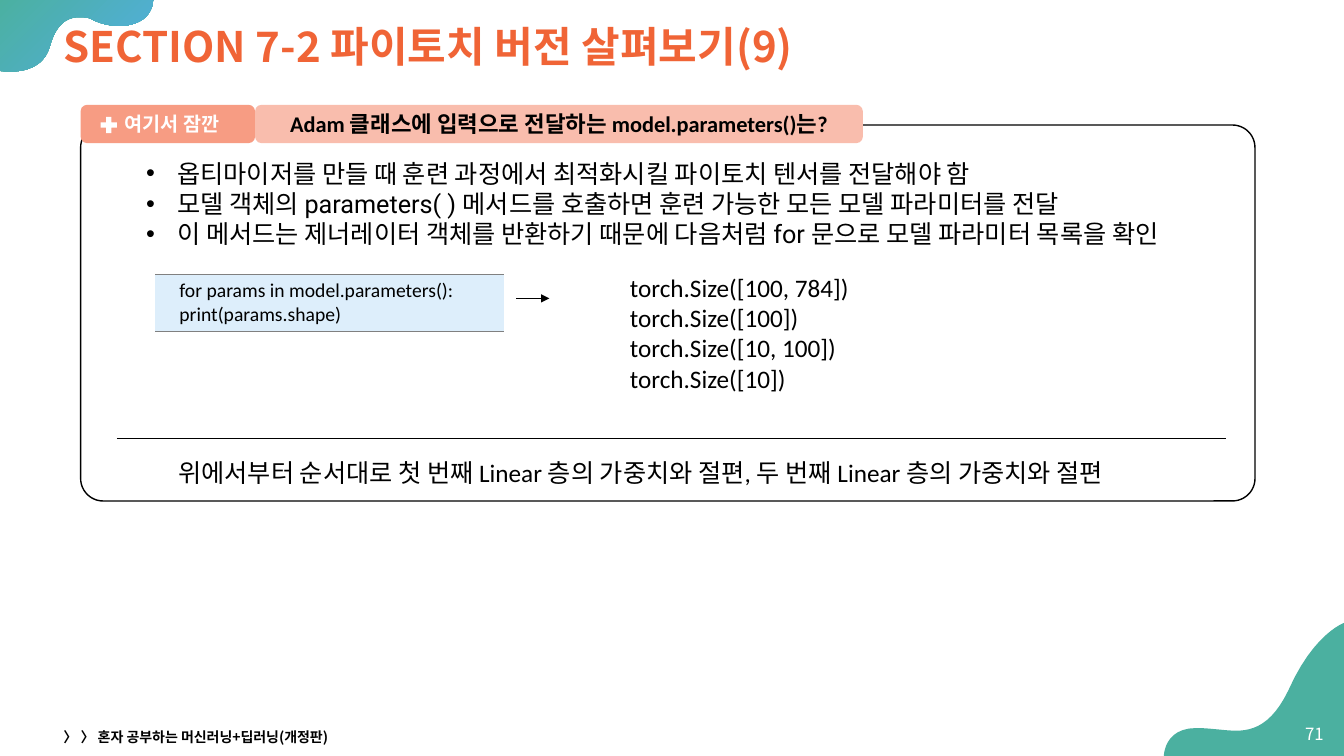
from lxml import etree
from pptx import Presentation
from pptx.dml.color import RGBColor
from pptx.enum.dml import MSO_LINE
from pptx.enum.shapes import MSO_CONNECTOR, MSO_SHAPE
from pptx.enum.text import MSO_ANCHOR, PP_ALIGN
from pptx.oxml.ns import qn
from pptx.util import Inches, Pt

SOLID = MSO_LINE.SOLID
STRAIGHT = MSO_CONNECTOR.STRAIGHT
ROUNDED, PLUS = MSO_SHAPE.ROUNDED_RECTANGLE, MSO_SHAPE.CROSS
TOP, MIDDLE = MSO_ANCHOR.TOP, MSO_ANCHOR.MIDDLE
LEFT, CENTER, RIGHT = PP_ALIGN.LEFT, PP_ALIGN.CENTER, PP_ALIGN.RIGHT

BLACK = RGBColor(0x00, 0x00, 0x00)
WHITE = RGBColor(0xFF, 0xFF, 0xFF)
TEAL = RGBColor(0x4B, 0xB0, 0xA0)
SKY = RGBColor(0x52, 0xAE, 0xE1)
ORANGE = RGBColor(0xF0, 0x64, 0x36)
CORAL = RGBColor(0xF7, 0x9C, 0x83)
PEACH = RGBColor(0xF9, 0xBD, 0xAD)
CODE_BLUE = RGBColor(0xDD, 0xEE, 0xFB)
GRAY = RGBColor(0x80, 0x80, 0x80)

NOTO, CALIBRI, ROBOTO = "Noto Sans CJK KR", "Calibri", "Roboto"

# The grid has 100 columns and 100 rows; boxes are (left, top, width, height)
WIDTH, HEIGHT = Inches(13.33), Inches(7.5)
COL, ROW = WIDTH / 100, HEIGHT / 100

# Corner outlines in shares of their box: one point is a line, three a curve
TOP_LEFT_STEPS = [
    [(0, 0)], [(0, 0.99)],
    [(0, 0.99), (0.03, 1), (0.08, 1)],
    [(0.16, 1), (0.29, 0.95), (0.33, 0.66)],
    [(0.37, 0.34), (0.45, 0.26), (0.52, 0.26)],
    [(0.56, 0.26), (0.59, 0.27), (0.61, 0.3)],
    [(0.67, 0.36), (0.73, 0.38), (0.78, 0.38)],
    [(0.9, 0.38), (1, 0.26), (1, 0)],
]
BOTTOM_RIGHT_STEPS = [
    [(1, 0), (0.83, 0.08), (0.69, 0.51)],
    [(0.6, 0.76), (0.5, 0.81), (0.4, 0.81)],
    [(0.34, 0.81), (0.26, 0.79), (0.18, 0.79)],
    [(0, 0.79), (0, 1), (0, 1)],
    [(1, 1)],
]


def emu(box):
    left, top, width, height = box
    return round(left * COL), round(top * ROW), round(width * COL), round(height * ROW)


def inside(box, left, top, width, height):
    return box[0] + left, box[1] + top, width, height


def write(frame, lines, size, font, color=BLACK, bold=False, align=LEFT,
          anchor=TOP, bullet=False):
    frame.word_wrap = True
    frame.vertical_anchor = anchor
    for index, line in enumerate(lines):
        paragraph = frame.paragraphs[0] if index == 0 else frame.add_paragraph()
        paragraph.alignment = align
        if bullet:
            properties = paragraph._p.get_or_add_pPr()
            properties.set("marL", str(Inches(0.31)))
            properties.set("indent", str(-Inches(0.31)))
            etree.SubElement(properties, qn("a:buFont")).set("typeface", "Arial")
            etree.SubElement(properties, qn("a:buChar")).set("char", "•")
        run = paragraph.add_run()
        run.text = line
        run.font.size, run.font.bold, run.font.name = Pt(size), bold, font
        run.font.color.rgb = color
        east_asian = etree.SubElement(run._r.get_or_add_rPr(), qn("a:ea"))
        east_asian.set("typeface", NOTO)


def add_text(slide, box, lines, *style, **options):
    frame = slide.shapes.add_textbox(*emu(box)).text_frame
    write(frame, lines, *style, **options)


def add_panel(slide, kind, box, fill=None, corner=None):
    panel = slide.shapes.add_shape(kind, *emu(box))
    panel.shadow.inherit = False
    if corner is not None:
        panel.adjustments[0] = corner
    if fill is None:
        panel.fill.background()
        panel.line.color.rgb = BLACK
        panel.line.width = Pt(1)
    else:
        panel.fill.solid()
        panel.fill.fore_color.rgb = fill
        panel.line.fill.background()
    return panel


def add_rule(slide, left, right, row):
    y = round(row * ROW)
    rule = slide.shapes.add_connector(STRAIGHT, round(left * COL), y, round(right * COL), y)
    rule.line.color.rgb = BLACK
    rule.line.width = Pt(0.5)
    rule.line.dash_style = SOLID
    etree.SubElement(rule._element.spPr, qn("a:effectLst"))
    return rule


def bezier(points, t):
    weights = (1 - t) ** 3, 3 * t * (1 - t) ** 2, 3 * t ** 2 * (1 - t), t ** 3
    return tuple(sum(w * p[axis] for w, p in zip(weights, points)) for axis in (0, 1))


def add_corner(slide, box, steps, pieces=12):
    left, top, width, height = emu(box)
    outline = [(1, 0)]
    for step in steps:
        if len(step) == 1:
            outline += step
        else:
            curve = [outline[-1], *step]
            outline += [bezier(curve, i / pieces) for i in range(1, pieces + 1)]
    vertices = [(round(left + u * width), round(top + v * height)) for u, v in outline]
    builder = slide.shapes.build_freeform(*vertices[0])
    builder.add_line_segments(vertices[1:])
    corner = builder.convert_to_shape()
    corner.shadow.inherit = False
    corner.line.fill.background()
    return corner


def add_background(slide):
    wave = add_corner(slide, (-0.08, -0.27, 11.48, 9.73), TOP_LEFT_STEPS)
    wave.fill.gradient()
    wave.fill.gradient_angle = 315
    for stop, color, position in zip(wave.fill.gradient_stops, (TEAL, SKY), (0, 1)):
        stop.color.rgb = color
        stop.position = position
    hill = add_corner(slide, (86.6, 82.4, 13.4, 17.6), BOTTOM_RIGHT_STEPS)
    hill.fill.solid()
    hill.fill.fore_color.rgb = TEAL


def add_title(slide, box):
    title = slide.shapes.title
    title.left, title.top, title.width, title.height = emu(box)
    write(title.text_frame, ["SECTION 7-2 파이토치 버전 살펴보기(9)"], 30, NOTO, ORANGE,
          bold=True, anchor=MIDDLE)
    title.text_frame.paragraphs[0].line_spacing = 0.9


def add_footer(slide, box):
    add_text(slide, inside(box, 0, 1.47, 33.75, 3.2),
             ["〉 〉 혼자 공부하는 머신러닝+딥러닝(개정판)"], 10, NOTO, bold=True, anchor=MIDDLE)
    add_text(slide, inside(box, box[2] - 3.3, 0, 3.3, box[3]), ["71"], 12, NOTO, WHITE,
             align=RIGHT, anchor=MIDDLE)


def add_code(slide, box):
    table = slide.shapes.add_table(1, 1, *emu(box)).table
    table.first_row = table.horz_banding = False
    cell = table.cell(0, 0)
    cell.margin_left = Inches(0.24)
    write(cell.text_frame, ["for params in model.parameters():", "print(params.shape)"],
          14, CALIBRI)
    properties = cell._tc.get_or_add_tcPr()
    for side in ("L", "R", "T", "B"):
        border = etree.SubElement(properties, qn(f"a:ln{side}"))
        if side in "LR":
            etree.SubElement(border, qn("a:noFill"))
        else:
            border.set("w", str(Pt(1)))
            paint = etree.SubElement(border, qn("a:solidFill"))
            etree.SubElement(paint, qn("a:srgbClr")).set("val", str(GRAY))
    cell.fill.solid()
    cell.fill.fore_color.rgb = CODE_BLUE


def add_callout(slide, box):
    left, top, width, height = box
    add_code(slide, inside(box, 5.55, 22.4, 25.95, 7.6))
    add_panel(slide, ROUNDED, inside(box, 0, 2.67, width, height - 2.67), corner=0.06)

    # Heading tabs
    badge = add_panel(slide, ROUNDED, inside(box, 0, 0, 12.98, 5.07), CORAL)
    badge.text_frame.margin_left = Inches(0.42)
    badge.text_frame.margin_right = 0
    write(badge.text_frame, ["여기서 잠깐"], 14, CALIBRI, WHITE, bold=True, anchor=MIDDLE)
    heading = add_panel(slide, ROUNDED, inside(box, 12.98, 0, 45.22, 5.07), PEACH)
    write(heading.text_frame, ["Adam 클래스에 입력으로 전달하는 model.parameters()는?"],
          16, CALIBRI, bold=True, align=CENTER, anchor=MIDDLE)
    add_panel(slide, PLUS, inside(box, 1.5, 1.6, 1.2, 2.13), WHITE, corner=0.34)

    # Explanation
    add_text(slide, inside(box, 4.13, 6.4, 83.85, 13.47), [
        "옵티마이저를 만들 때 훈련 과정에서 최적화시킬 파이토치 텐서를 전달해야 함",
        "모델 객체의 parameters( ) 메서드를 호출하면 훈련 가능한 모든 모델 파라미터를 전달",
        "이 메서드는 제너레이터 객체를 반환하기 때문에 다음처럼 for 문으로 모델 파라미터 목록을 확인",
    ], 18, ROBOTO, bullet=True)

    # Code result and summary
    arrow = add_rule(slide, left + 32.4, left + 34.88, top + 25.6)
    etree.SubElement(arrow.line._get_or_add_ln(), qn("a:tailEnd")).set("type", "triangle")
    shapes = ("100, 784", "100", "10, 100", "10")
    add_text(slide, inside(box, 40.13, 21.47, 23.48, 17.47),
             [f"torch.Size([{shape}])" for shape in shapes], 18, CALIBRI)
    add_text(slide, inside(box, 6.53, 46, 77.63, 5.33),
             ["위에서부터 순서대로 첫 번째 Linear 층의 가중치와 절편, 두 번째 Linear 층의 가중치와 절편"],
             18, CALIBRI)
    add_rule(slide, left + 2.7, left + 85.2, top + 44.13)


def main():
    deck = Presentation()
    deck.slide_width, deck.slide_height = WIDTH, HEIGHT
    slide = deck.slides.add_slide(deck.slide_layouts[5])
    add_background(slide)
    add_title(slide, (3.98, 1.6, 92.55, 9.73))
    add_footer(slide, (3.98, 94.4, 95.25, 5.33))
    add_callout(slide, (6, 13.87, 87.38, 52.4))
    deck.save("out.pptx")


if __name__ == "__main__":
    main()
